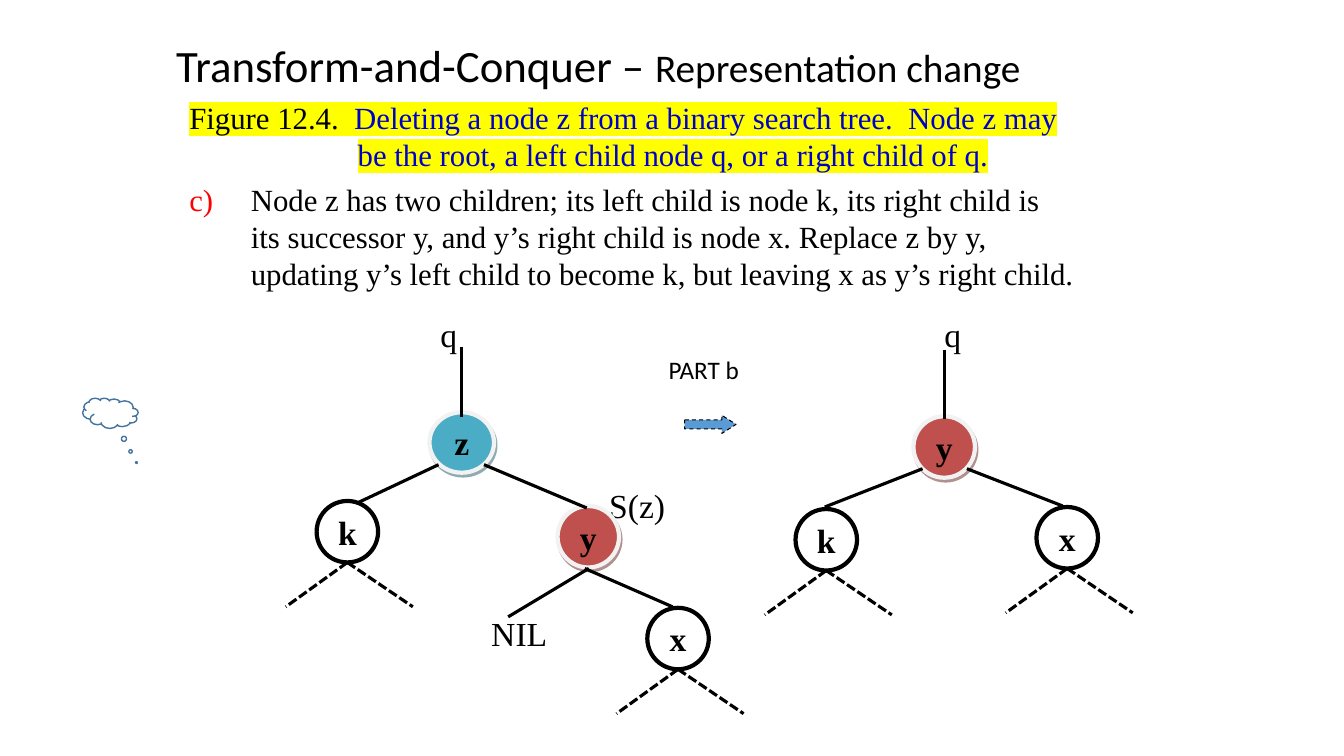
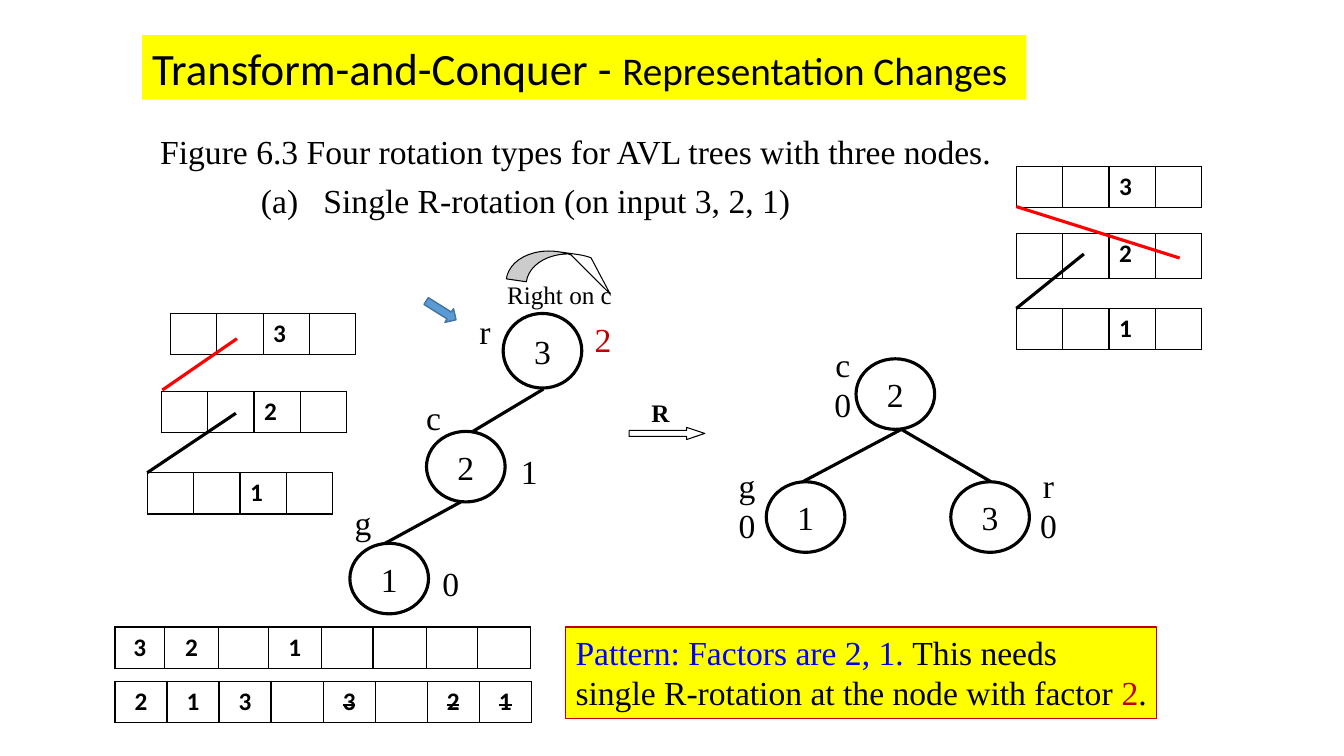
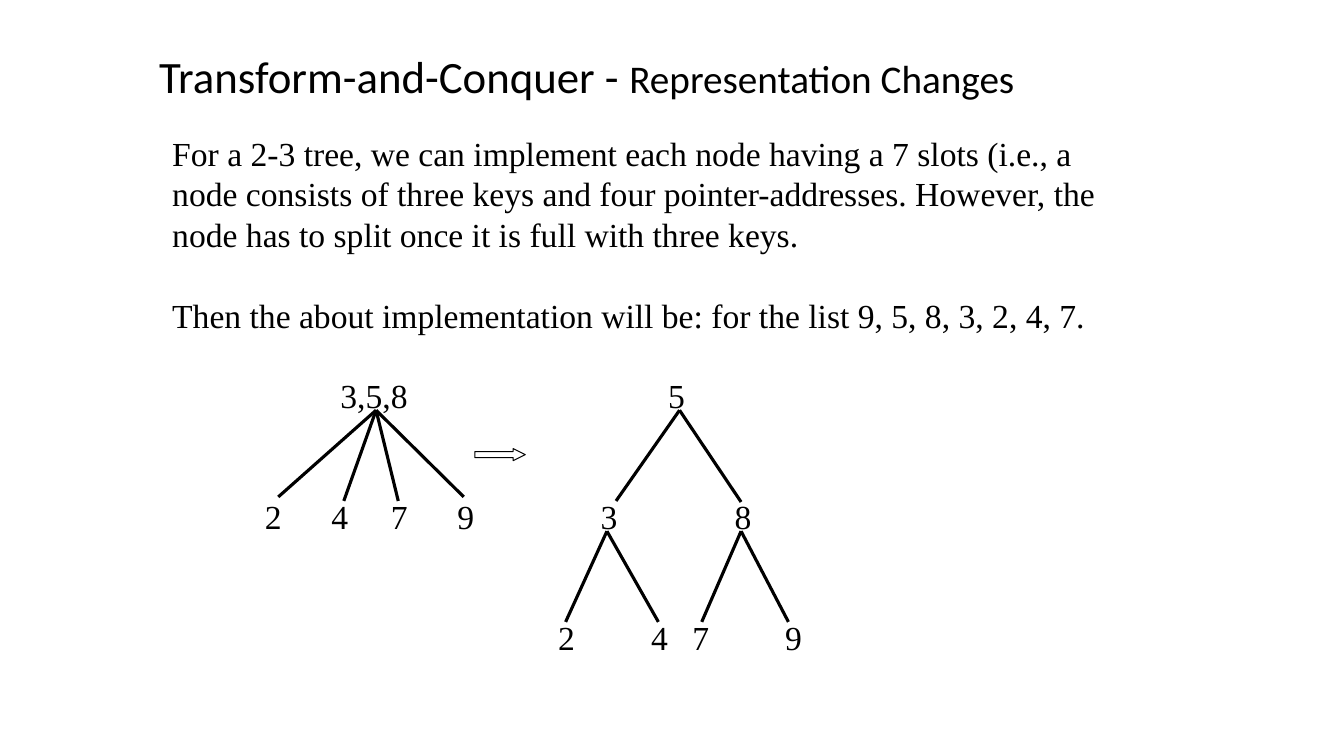
"""Build three slides on tree deletion, AVL rotation and 2-3 trees."""
from dataclasses import dataclass

from lxml.etree import SubElement
from pptx import Presentation
from pptx.dml.color import RGBColor
from pptx.enum.dml import MSO_LINE_DASH_STYLE as DASH
from pptx.enum.shapes import MSO_CONNECTOR, MSO_SHAPE as SHAPE
from pptx.enum.text import MSO_ANCHOR as ANCHOR, PP_ALIGN as ALIGN
from pptx.oxml.ns import qn
from pptx.util import Inches, Pt


@dataclass(frozen=True)
class Theme:
    """Colours, fonts and type sizes shared by the slides."""
    black: str = "000000"
    white: str = "FFFFFF"
    yellow: str = "FFFF00"
    red: str = "FF0000"
    dark_red: str = "C00000"
    navy: str = "0000CC"
    blue: str = "0000FF"
    arrow_blue: str = "5B9BD5"
    outline_blue: str = "43739E"
    teal: str = "4BACC6"
    teal_shadow: str = "205867"
    brick: str = "C0504D"
    brick_shadow: str = "622423"
    rim: str = "F2F2F2"
    serif: str = "Times New Roman"
    sans: str = "Calibri"
    title: int = 32
    subtitle: int = 28
    body: int = 24
    caption: int = 22
    small: int = 18
    stroke: float = 2.25
    thin: float = 0.75


THEME = Theme()


def rgb(color):
    """Turn a hex string into a colour."""
    return RGBColor.from_string(color)


def style_font(font, size=THEME.body, color=THEME.black, name=THEME.serif, bold=False):
    """Set the size, colour, typeface and weight of a font."""
    font.size, font.name, font.bold = Pt(size), name, bold
    font.color.rgb = rgb(color)


def highlight(run, color):
    """Put a marker colour behind a run."""
    properties = run._r.rPr
    marker = SubElement(properties, qn("a:highlight"))
    SubElement(marker, qn("a:srgbClr"), val=color)
    properties.find(qn("a:solidFill")).addnext(marker)


def indent(paragraph, left, hanging=0.0):
    """Set the left margin and hanging indent of a paragraph."""
    properties = paragraph._p.get_or_add_pPr()
    properties.set("marL", str(Inches(left)))
    properties.set("indent", str(-Inches(hanging)))
    return properties


def number(paragraph, style, start, color, left, hanging):
    """Give a paragraph an automatic number."""
    properties = indent(paragraph, left, hanging)
    SubElement(SubElement(properties, qn("a:buClr")), qn("a:srgbClr"), val=color)
    SubElement(properties, qn("a:buAutoNum"), type=style, startAt=str(start))


def tab_stop(paragraph, position):
    """Add a left tab stop to a paragraph."""
    tabs = SubElement(paragraph._p.get_or_add_pPr(), qn("a:tabLst"))
    SubElement(tabs, qn("a:tab"), pos=str(Inches(position)), algn="l")


def add_runs(paragraph, *runs):
    """Add (text, font settings) runs to a paragraph."""
    for text, settings in runs:
        run = paragraph.add_run()
        run.text = text
        style_font(run.font, **settings)


def add_box(slide, left, top, width, height, fill=None):
    """Add a wrapping text box and return it."""
    box = slide.shapes.add_textbox(*map(Inches, (left, top, width, height)))
    box.text_frame.word_wrap = True
    if fill:
        box.fill.solid()
        box.fill.fore_color.rgb = rgb(fill)
    return box


def add_title(slide, left, top, width, main_part, sub_part, fill=None):
    """Add the two-size slide title."""
    box = add_box(slide, left, top, width, 0.64, fill)
    add_runs(box.text_frame.paragraphs[0],
             (main_part, dict(size=THEME.title, name=THEME.sans)),
             (sub_part, dict(size=THEME.subtitle, name=THEME.sans)))


def add_label(slide, text, center, top, width=1.5, **settings):
    """Add a short text centred on a position."""
    box = add_box(slide, center - width / 2, top, width, 0.5)
    box.text_frame.text = text
    for paragraph in box.text_frame.paragraphs:
        paragraph.alignment = ALIGN.CENTER
        style_font(paragraph.runs[0].font, **settings)


def add_line(slide, start, end, color=THEME.black, dash=None):
    """Add a straight line between two points."""
    line = slide.shapes.add_connector(MSO_CONNECTOR.STRAIGHT, *map(Inches, start + end))
    line.line.color.rgb = rgb(color)
    line.line.width = Pt(THEME.stroke)
    if dash:
        line.line.dash_style = dash
    SubElement(line._element.spPr, qn("a:effectLst"))


def add_fan(slide, apex, *ends):
    """Draw the branches from one node to its children."""
    for end in ends:
        add_line(slide, apex, end)


def add_preset(slide, kind, box, fill, line, width, adjustments=(), rotation=0.0, flip=False):
    """Add a filled and outlined preset shape."""
    shape = slide.shapes.add_shape(kind, *map(Inches, box))
    shape.shadow.inherit = False
    shape.fill.solid()
    shape.fill.fore_color.rgb = rgb(fill)
    shape.line.color.rgb = rgb(line)
    shape.line.width = Pt(width)
    for index, value in enumerate(adjustments):
        shape.adjustments[index] = value
    shape.rotation = rotation
    if flip:
        shape._element.spPr.find(qn("a:xfrm")).set("flipH", "1")
    return shape


def add_node(slide, text, box, fill=THEME.white, line=THEME.black, width=3.0, bold=True, shadow=None):
    """Add a round tree node with its key."""
    node = add_preset(slide, SHAPE.OVAL, box, fill, line, width)
    frame = node.text_frame
    frame.margin_left = frame.margin_right = frame.margin_top = frame.margin_bottom = 0
    frame.vertical_anchor = ANCHOR.MIDDLE
    frame.text = text
    frame.paragraphs[0].alignment = ALIGN.CENTER
    style_font(frame.paragraphs[0].runs[0].font, bold=bold)
    if shadow:
        effects = node._element.spPr.find(qn("a:effectLst"))
        outer = SubElement(effects, qn("a:outerShdw"), dist=str(Pt(2.2)),
                           dir=str(63 * 60000), algn="ctr", rotWithShape="0")
        color = SubElement(outer, qn("a:srgbClr"), val=shadow)
        SubElement(color, qn("a:alpha"), val="50000")


def add_subtree_node(slide, text, left, top, size=0.61):
    """Add a plain node with two dashed subtree lines below it."""
    center, bottom = left + size / 2, top + size
    for reach in (-0.61, 0.65):
        add_line(slide, (center, bottom), (center + reach, bottom + 0.44), dash=DASH.SQUARE_DOT)
    add_node(slide, text, (left, top, size, size))


def outline_cell(cell):
    """Give a table cell a white fill and black borders."""
    properties = cell._tc.get_or_add_tcPr()
    for side in ("lnL", "lnR", "lnT", "lnB"):
        border = SubElement(properties, qn(f"a:{side}"), w=str(Pt(1)))
        SubElement(SubElement(border, qn("a:solidFill")), qn("a:srgbClr"), val=THEME.black)
    cell.fill.solid()
    cell.fill.fore_color.rgb = rgb(THEME.white)


def add_slots(slide, keys, left, top, widths, height=0.41, align=ALIGN.LEFT, struck=()):
    """Add a one-row table of slots."""
    table = slide.shapes.add_table(
        1, len(keys), *map(Inches, (left, top, sum(widths), height))).table
    table.first_row = table.horz_banding = False
    table.rows[0].height = Inches(height)
    for index, (key, width) in enumerate(zip(keys, widths)):
        table.columns[index].width = Inches(width)
        cell = table.cell(0, index)
        outline_cell(cell)
        paragraph = cell.text_frame.paragraphs[0]
        paragraph.alignment = align
        if key:
            paragraph.text = key
            run = paragraph.runs[0]
            style_font(run.font, THEME.small, name=THEME.sans, bold=True)
            if index in struck:
                run._r.rPr.set("strike", "sngStrike")


def build_deletion(slide):
    """Build the slide on deleting a node with two children."""
    frame = add_box(slide, 1.78, 0.93, 10.17, 2.05).text_frame
    caption = dict(size=THEME.caption)
    blue_caption = dict(size=THEME.caption, color=THEME.navy)
    first = frame.paragraphs[0]
    add_runs(first, ("Figure 12.4.  ", caption),
             ("Deleting a node z from a binary search tree.  Node z may", blue_caption))
    second = frame.add_paragraph()
    tab_stop(second, 1.67)
    second.space_after = Pt(6)
    add_runs(second, ("\tbe the root, a left child node q, or a right child of q.", blue_caption))
    for run in first.runs + second.runs:
        highlight(run, THEME.yellow)
    case_lines = ("Node z has two children; its left child is node k, its right child is",
                  "its successor y, and y’s right child is node x. Replace z by y,",
                  "updating y’s left child to become k, but leaving x as y’s right child.")
    for index, text in enumerate(case_lines):
        paragraph = frame.add_paragraph()
        if index == 0:
            number(paragraph, "alphaLcParenR", 3, THEME.red, 0.61, 0.61)
        else:
            indent(paragraph, 0.61)
        add_runs(paragraph, (text, caption))

    for text, center, top in (("q", 4.45, 3.07), ("q", 9.45, 3.07),
                              ("S(z)", 6.32, 4.76), ("NIL", 5.15, 6.03)):
        add_label(slide, text, center, top)
    for text, box, fill, shadow in (
            ("z", (4.26, 4.09, 0.64, 0.6), THEME.teal, THEME.teal_shadow),
            ("y", (5.53, 5.02, 0.61, 0.61), THEME.brick, THEME.brick_shadow),
            ("y", (9.06, 4.13, 0.61, 0.61), THEME.brick, THEME.brick_shadow)):
        add_node(slide, text, box, fill, THEME.rim, shadow=shadow)
    for start, end in (((4.58, 3.44), (4.58, 4.14)), ((4.8, 4.61), (5.82, 5.04)),
                       ((4.35, 4.61), (3.48, 5.02)), ((9.37, 3.47), (9.37, 4.16)),
                       ((5.84, 5.64), (5.04, 6.12)), ((5.8, 5.64), (6.67, 6.02)),
                       ((9.15, 4.65), (8.18, 5.03)), ((9.59, 4.65), (10.54, 5.02))):
        add_line(slide, start, end)
    for text, left, top in (("k", 3.14, 4.97), ("x", 6.42, 6.03),
                            ("k", 7.89, 5.05), ("x", 10.28, 5.03)):
        add_subtree_node(slide, text, left, top)

    arrow = add_preset(slide, SHAPE.RIGHT_ARROW, (6.79, 4.12, 0.51, 0.18),
                       THEME.arrow_blue, THEME.black, THEME.thin, (0.5, 0.78))
    arrow.line.dash_style = DASH.DASH
    add_label(slide, "PART b", 6.98, 3.47, size=THEME.small, name=THEME.sans)
    add_preset(slide, SHAPE.CLOUD_CALLOUT, (0.82, 3.95, 0.55, 0.3), THEME.white,
               THEME.outline_blue, 1, (-0.47, 1.63), flip=True)
    add_title(slide, 1.65, 0.33, 8.66, "Transform-and-Conquer – ", "Representation change")


def build_rotation(slide):
    """Build the slide on the single R-rotation."""
    frame = add_box(slide, 1.49, 1.25, 8.54, 0.99).text_frame
    frame.paragraphs[0].space_after = Pt(6)
    add_runs(frame.paragraphs[0],
             ("Figure 6.3 Four rotation types for AVL trees with three nodes.", {}))
    rotation = frame.add_paragraph()
    number(rotation, "alphaLcParenBoth", 1, THEME.black, 1.62, 0.62)
    add_runs(rotation, ("Single R-rotation (on input 3, 2, 1)", {}))

    for text, left, top, height in (("3", 4.99, 3.11, 0.74), ("2", 4.23, 4.28, 0.7),
                                    ("1", 3.47, 5.39, 0.7), ("3", 9.43, 4.78, 0.7),
                                    ("1", 7.6, 4.78, 0.7), ("2", 8.49, 3.56, 0.7)):
        add_node(slide, text, (left, top, 0.78, height), width=THEME.stroke, bold=False)
    add_fan(slide, (5.39, 3.86), (4.69, 4.28))
    add_fan(slide, (4.57, 4.98), (3.82, 5.39))
    add_fan(slide, (8.94, 4.26), (7.96, 4.78), (9.83, 4.78))
    for text, center, top in (("r", 4.81, 3.04), ("c", 4.3, 3.89), ("g", 3.6, 4.93),
                              ("1", 5.25, 4.42), ("0", 4.47, 5.54), ("c\n0", 8.36, 3.36),
                              ("r\n0", 10.4, 4.56), ("g\n0", 7.41, 4.56)):
        add_label(slide, text, center, top, 0.5)
    add_label(slide, "2", 5.98, 3.11, 0.5, color=THEME.dark_red)
    add_label(slide, "R", 6.55, 3.89, 0.5, size=THEME.small, bold=True)

    add_preset(slide, SHAPE.RIGHT_ARROW, (6.24, 4.24, 0.75, 0.12), THEME.white,
               THEME.black, THEME.thin, (0.5, 1.5))
    add_preset(slide, SHAPE.CURVED_RIGHT_ARROW, (5.44, 2.11, 0.34, 1.14), THEME.white,
               THEME.black, THEME.thin, (0.59, 0.59, 0.96), 278.2, True)
    add_label(slide, "Right on c", 5.55, 2.72, size=THEME.small)
    add_preset(slide, SHAPE.RIGHT_ARROW, (4.2, 3, 0.35, 0.16), THEME.arrow_blue,
               THEME.outline_blue, 1, rotation=32.1)

    pattern = add_box(slide, 5.61, 6.22, 5.86, 0.91, THEME.yellow)
    pattern.text_frame.margin_right = 0
    pattern.line.color.rgb = rgb(THEME.dark_red)
    pattern.line.width = Pt(THEME.thin)
    add_runs(pattern.text_frame.paragraphs[0],
             ("Pattern: Factors are 2, 1. ", dict(color=THEME.blue)), ("This needs", {}))
    add_runs(pattern.text_frame.add_paragraph(),
             ("single R-rotation at the node with factor ", {}),
             ("2", dict(color=THEME.dark_red)), (".", {}))

    for key, left, top, height in (("3", 1.69, 3.11, 0.41), ("2", 1.6, 3.88, 0.41),
                                   ("1", 1.46, 4.69, 0.41), ("3", 10.08, 1.65, 0.41),
                                   ("2", 10.08, 2.32, 0.44), ("1", 10.08, 3.06, 0.41)):
        add_slots(slide, ("", "", key, ""), left, top, [0.46] * 4, height)
    for start, end, color in (((2.35, 3.36), (1.61, 3.87), THEME.red),
                              ((2.34, 4.1), (1.46, 4.69), THEME.black),
                              ((10.75, 2.52), (10.08, 3.06), THEME.black),
                              ((10.08, 2.05), (11.7, 2.56), THEME.red)):
        add_line(slide, start, end, color)
    add_slots(slide, ("3", "2", "", "1", "", "", "", ""), 1.14, 6.22,
              (0.49, 0.54, 0.49, 0.53, 0.51, 0.53, 0.51, 0.52), align=ALIGN.CENTER)
    add_slots(slide, ("2", "1", "3", "", "3", "", "2", "1"), 1.14, 6.76,
              [4.13 / 8] * 8, align=ALIGN.CENTER, struck=(4, 6, 7))
    add_title(slide, 1.41, 0.35, 8.77, "Transform-and-Conquer - ",
              "Representation Changes", THEME.yellow)


def build_two_three_tree(slide):
    """Build the slide on 2-3 trees."""
    frame = add_box(slide, 1.61, 1.27, 9.49, 2.1).text_frame
    add_runs(frame.paragraphs[0],
             ("For a 2-3 tree, we can implement each node having a 7 slots (i.e., a node "
              "consists of three keys and four pointer-addresses. However, the node has "
              "to split once it is full with three keys.", {}))
    example = frame.add_paragraph()
    example.space_before = Pt(29)
    add_runs(example, ("Then the about implementation will be: for the list "
                       "9, 5, 8, 3, 2, 4, 7.", {}))

    levels = ((("3,5,8", 3.71), ("5", 6.71)),
              (("2", 2.71), ("4", 3.37), ("7", 3.96), ("9", 4.62), ("3", 6.04), ("8", 7.37)),
              (("2", 5.62), ("4", 6.54), ("7", 6.95), ("9", 7.87)))
    for depth, keys in enumerate(levels):
        for text, center in keys:
            add_label(slide, text, center, 3.67 + 1.2 * depth, 0.9)
    add_fan(slide, (3.73, 4.07), (2.76, 4.93), (3.41, 4.97), (3.95, 4.97), (4.6, 4.93))
    add_fan(slide, (6.74, 4.07), (6.11, 4.97), (7.35, 4.98))
    add_fan(slide, (6.02, 5.27), (5.61, 6.17), (6.53, 6.17))
    add_fan(slide, (7.35, 5.27), (6.96, 6.17), (7.82, 6.17))
    add_preset(slide, SHAPE.RIGHT_ARROW, (4.71, 4.45, 0.5, 0.12), THEME.white,
               THEME.black, THEME.thin, (0.5, 1))
    add_title(slide, 1.48, 0.43, 8.95, "Transform-and-Conquer - ", "Representation Changes")


def main():
    """Build and save the presentation."""
    presentation = Presentation()
    presentation.slide_width, presentation.slide_height = Inches(13.33), Inches(7.5)
    for build in (build_deletion, build_rotation, build_two_three_tree):
        build(presentation.slides.add_slide(presentation.slide_layouts[6]))
    presentation.save("out.pptx")


if __name__ == "__main__":
    main()
